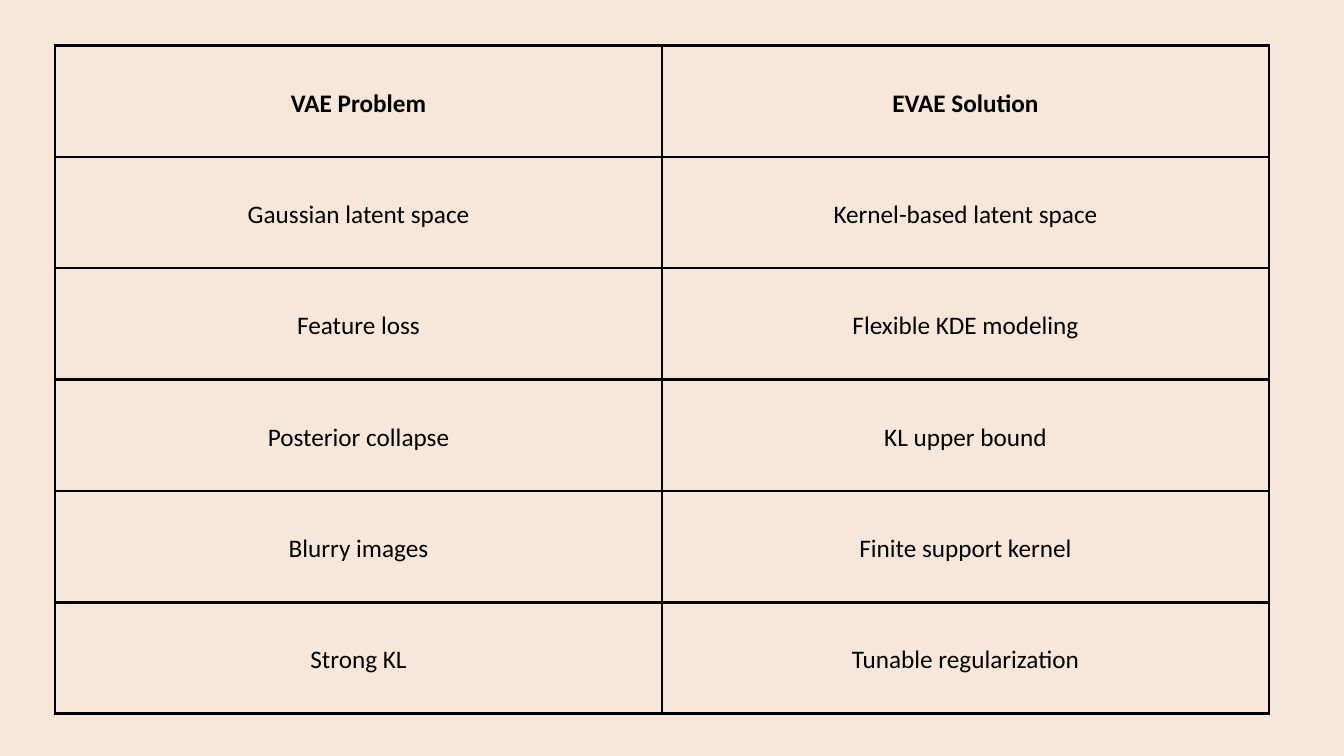
from lxml import etree
from pptx import Presentation
from pptx import util as u
from pptx.dml.color import RGBColor
from pptx.enum import text
from pptx.oxml.ns import qn

COLORS = {"background": "F6E7DA", "ink": "000000"}
FONT = "Calibri"
ROWS = [
    ("VAE Problem", "EVAE Solution"),
    ("Gaussian latent space", "Kernel-based latent space"),
    ("Feature loss", "Flexible KDE modeling"),
    ("Posterior collapse", "KL upper bound"),
    ("Blurry images", "Finite support kernel"),
    ("Strong KL", "Tunable regularization"),
]
COLUMN_WIDTH = u.Cm(22.94)
ROW_HEIGHT = u.Cm(4.21)
CELL_MARGIN = u.Cm(0.53)


def color(name):
    return RGBColor.from_string(COLORS[name])


def add_borders(cell, width):
    properties = cell._tc.get_or_add_tcPr()
    for side in ("a:lnL", "a:lnR", "a:lnT", "a:lnB"):
        line = etree.SubElement(properties, qn(side), w=str(int(width)))
        fill = etree.SubElement(line, qn("a:solidFill"))
        etree.SubElement(fill, qn("a:srgbClr"), val=COLORS["ink"])


def format_cell(cell, words, bold):
    add_borders(cell, u.Pt(3))
    cell.fill.background()
    cell.vertical_anchor = text.MSO_ANCHOR.MIDDLE
    cell.margin_left = cell.margin_right = CELL_MARGIN
    cell.margin_top = cell.margin_bottom = CELL_MARGIN
    paragraph = cell.text_frame.paragraphs[0]
    paragraph.alignment = text.PP_ALIGN.CENTER
    paragraph.line_spacing = u.Pt(37.8)
    run = paragraph.add_run()
    run.text = words
    run.font.name = FONT
    run.font.size = u.Pt(27)
    run.font.bold = bold
    run.font.color.rgb = color("ink")


def add_comparison_table(slide, left, top):
    column_count = len(ROWS[0])
    shape = slide.shapes.add_table(
        len(ROWS), column_count, left, top,
        COLUMN_WIDTH * column_count, ROW_HEIGHT * len(ROWS))
    table = shape.table
    table.horz_banding = False
    for column in table.columns:
        column.width = COLUMN_WIDTH
    for row_index, row in enumerate(ROWS):
        table.rows[row_index].height = ROW_HEIGHT
        for column_index, words in enumerate(row):
            format_cell(table.cell(row_index, column_index), words, row_index == 0)


def main():
    presentation = Presentation()
    presentation.slide_width = u.Cm(50.8)
    presentation.slide_height = u.Cm(28.58)
    slide = presentation.slides.add_slide(presentation.slide_layouts[6])
    slide.background.fill.solid()
    slide.background.fill.fore_color.rgb = color("background")
    add_comparison_table(slide, u.Cm(2.08), u.Cm(1.72))
    presentation.save("out.pptx")


if __name__ == "__main__":
    main()
